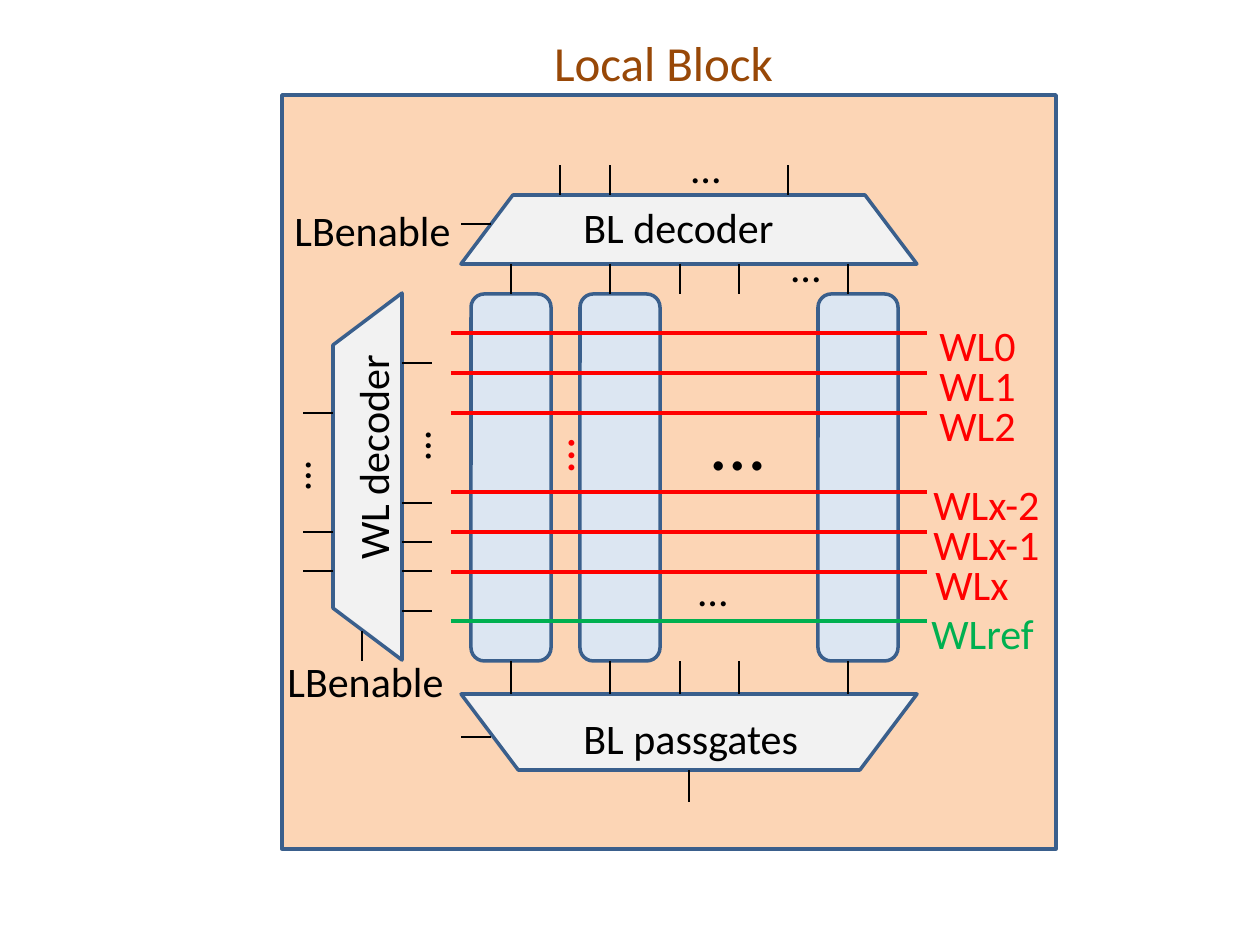
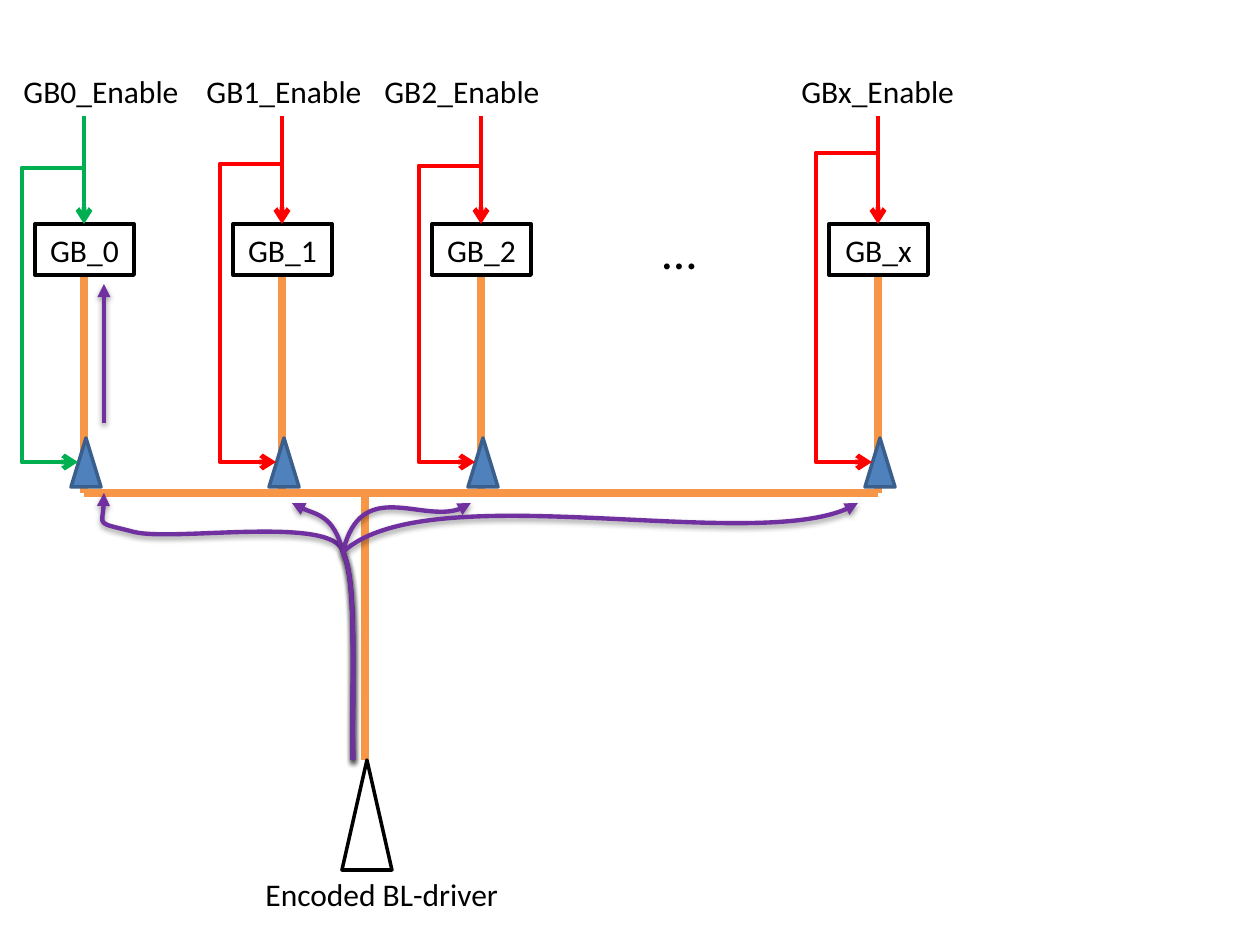
from lxml import etree
from pptx import Presentation
from pptx.dml.color import RGBColor
from pptx.enum.shapes import MSO_CONNECTOR as Connector, MSO_SHAPE as Shape
from pptx.enum.text import MSO_ANCHOR, PP_ALIGN
from pptx.oxml import parse_xml
from pptx.oxml.ns import nsdecls, qn
from pptx.util import Emu, Pt

SCALE = 914400 / 126
FONT = "Calibri"
BLACK = RGBColor(0x00, 0x00, 0x00)
RED = RGBColor(0xFF, 0x00, 0x00)
GREEN = RGBColor(0x00, 0xB0, 0x50)
BROWN = RGBColor(0x98, 0x48, 0x07)
PEACH = RGBColor(0xFC, 0xD5, 0xB5)
GREY = RGBColor(0xF2, 0xF2, 0xF2)
PALE_BLUE = RGBColor(0xDC, 0xE6, 0xF2)
BLUE = RGBColor(0x4F, 0x81, 0xBD)
OUTLINE = RGBColor(0x3A, 0x5F, 0x8C)
ORANGE = RGBColor(0xF7, 0x96, 0x46)
PURPLE = RGBColor(0x70, 0x30, 0xA0)
SHADOW = (
    f'<a:effectLst {nsdecls("a")}><a:outerShdw blurRad="40000" dist="20000" '
    'dir="5400000" rotWithShape="0"><a:srgbClr val="000000">'
    '<a:alpha val="38000"/></a:srgbClr></a:outerShdw></a:effectLst>'
)
NO_SHADOW = f'<a:effectLst {nsdecls("a")}/>'


def add_shape(slide, kind, box, fill, outline=OUTLINE, weight=2, rotation=0):
    shape = slide.shapes.add_shape(kind, *[Emu(round(v * SCALE)) for v in box])
    shape.shadow.inherit = False
    shape.rotation = rotation
    if fill is None:
        shape.fill.background()
    else:
        shape.fill.solid()
        shape.fill.fore_color.rgb = fill
    shape.line.color.rgb = outline
    shape.line.width = Pt(weight)
    return shape


def add_line(slide, points, color=BLACK, weight=0.75, tail=None,
             kind=Connector.STRAIGHT, effect=NO_SHADOW):
    line = slide.shapes.add_connector(kind, *[Emu(round(v * SCALE)) for v in points])
    line.line.color.rgb = color
    line.line.width = Pt(weight)
    if tail:
        etree.SubElement(line.line._get_or_add_ln(), qn("a:tailEnd"), type=tail)
    line._element.spPr.append(parse_xml(effect))
    return line


presentation = Presentation()
presentation.slide_width = Emu(round(1260 * SCALE))
presentation.slide_height = Emu(round(945 * SCALE))
block_slide = presentation.slides.add_slide(presentation.slide_layouts[5])
driver_slide = presentation.slides.add_slide(presentation.slide_layouts[6])

title = block_slide.shapes.title
title.left, title.top, title.width, title.height = [
    Emu(round(v * SCALE)) for v in (540, 26, 247, 72)]
title.text_frame.word_wrap = False
title.text_frame.vertical_anchor = MSO_ANCHOR.MIDDLE
run = title.text_frame.paragraphs[0].add_run()
run.text = "Local Block"
run.font.name = FONT
run.font.size = Pt(28)
run.font.color.rgb = BROWN

add_shape(block_slide, Shape.RECTANGLE, (282, 95, 774, 754), PEACH)
for column_left in (471, 580, 818):
    add_shape(block_slide, Shape.ROUNDED_RECTANGLE, (column_left, 294, 80, 367), PALE_BLUE)
for box, rotation in (
    ((461, 195, 456, 69), 0),
    ((184, 442, 367, 69), 270),
    ((461, 694, 456, 76), 180),
):
    decoder = add_shape(block_slide, Shape.TRAPEZOID, box, GREY, rotation=rotation)
    decoder.adjustments[0] = 0.752

for x in (511, 610, 680, 739, 848):
    add_line(block_slide, (x, 264, x, 294))
    add_line(block_slide, (x, 694, x, 661))
for x in (560, 610, 788):
    add_line(block_slide, (x, 195, x, 165))
for y in (224, 737):
    add_line(block_slide, (491, y, 461, y))
for y in (413, 532, 571):
    add_line(block_slide, (333, y, 303, y))
for y in (363, 503, 542, 571, 611):
    add_line(block_slide, (432, y, 402, y))
add_line(block_slide, (362, 631, 362, 661))
add_line(block_slide, (689, 770, 689, 802))

texts = [
    (block_slide, "BL decoder", (571, 195, 457, 63), 24, BLACK, 0, True),
    (block_slide, "WL decoder", (194, 362, 357, 63), 24, BLACK, 270, True),
    (block_slide, "BL passgates", (571, 706, 318, 63), 24, BLACK, 0, True),
    (block_slide, "LBenable", (275, 649, 210, 63), 24, BLACK, 0, True),
    (block_slide, "LBenable", (282, 198, 210, 63), 24, BLACK, 0, True),
    (block_slide, "…", (515, 409, 80, 72), 28, RED, 270, True),
    (block_slide, "…", (699, 387, 80, 106), 44, BLACK, 0, True),
    (driver_slide, "…", (650, 214, 59, 72), 28, BLACK, 0, False),
    (driver_slide, "Encoded BL-driver", (253, 869, 261, 50), 18, BLACK, 0, False),
]
for left, top, rotation in (
    (779, 234, 0), (679, 135, 0), (686, 558, 0), (374, 401, 270), (254, 431, 270),
):
    texts.append((block_slide, "…", (left, top, 80, 63), 24, BLACK, rotation, True))

for name, y, label_left, color in (
    ("WL0", 333, 927, RED),
    ("WL1", 373, 927, RED),
    ("WL2", 413, 927, RED),
    ("WLx-2", 492, 921, RED),
    ("WLx-1", 532, 921, RED),
    ("WLx", 572, 923, RED),
    ("WLref", 621, 919, GREEN),
):
    add_line(block_slide, (451, y, 927, y), color, 2)
    texts.append((block_slide, name, (label_left, y - 20, 139, 63), 24, color, 0, True))

add_line(driver_slide, (84, 493, 878, 493), ORANGE, 5)
add_line(driver_slide, (365, 493, 365, 760), ORANGE, 5)
add_shape(driver_slide, Shape.ISOSCELES_TRIANGLE, (342, 760, 50, 110), None, BLACK)

for suffix, x, label_left, branch_y, color in (
    ("0", 84, 11, 168, GREEN),
    ("1", 282, 194, 164, RED),
    ("2", 481, 372, 166, RED),
    ("x", 878, 789, 153, RED),
):
    add_line(driver_slide, (x, 276, x, 493), ORANGE, 5)
    block = add_shape(driver_slide, Shape.RECTANGLE, (x - 49, 224, 99, 51), None, BLACK, 2.25)
    paragraph = block.text_frame.paragraphs[0]
    paragraph.alignment = PP_ALIGN.CENTER
    run = paragraph.add_run()
    run.text = f"GB_{suffix}"
    run.font.name = FONT
    run.font.size = Pt(18)
    run.font.color.rgb = BLACK
    add_shape(driver_slide, Shape.ISOSCELES_TRIANGLE, (x - 13, 438, 30, 49), BLUE)
    add_line(driver_slide, (x, 116, x, 224), color, 2.75, "arrow")
    elbow = add_line(driver_slide, (x, branch_y, x - 6, 462), color, 2.75, "arrow",
                     Connector.ELBOW)
    adjust_list = elbow._element.spPr.find(qn("a:prstGeom")).get_or_add_avLst()
    etree.SubElement(adjust_list, qn("a:gd"), name="adj1",
                     fmla=f"val {round(62 / 6 * 100000)}")
    texts.append((driver_slide, f"GB{suffix}_Enable", (label_left, 66, 183, 50),
                  18, BLACK, 0, False))

add_line(driver_slide, (104, 423, 104, 284), PURPLE, 2.5, "triangle", effect=SHADOW)
stem = [(352, 667), (357, 580), (343, 552)]
for branch in (
    [(334, 515), (174, 542), (134, 532), (95, 522), (104, 528), (104, 493)],
    [(334, 515), (301, 510), (292, 503)],
    [(361, 476), (433, 532), (471, 503)],
    [(428, 474), (772, 559), (858, 503)],
):
    builder = driver_slide.shapes.build_freeform(353, 760, scale=SCALE)
    builder.add_line_segments(stem + branch, close=False)
    signal = builder.convert_to_shape()
    signal.fill.background()
    signal.line.color.rgb = PURPLE
    signal.line.width = Pt(2.5)
    etree.SubElement(signal.line._get_or_add_ln(), qn("a:tailEnd"), type="triangle")
    signal._element.spPr.append(parse_xml(SHADOW))
    segments = list(signal._element.iter(qn("a:lnTo")))
    outline_path = segments[0].getparent()
    for start in range(0, len(segments), 3):
        curve = etree.SubElement(outline_path, qn("a:cubicBezTo"))
        for segment in segments[start:start + 3]:
            curve.append(segment[0])
            outline_path.remove(segment)

for slide, text, box, size, color, rotation, wrap in texts:
    text_box = slide.shapes.add_textbox(*[Emu(round(v * SCALE)) for v in box])
    text_box.rotation = rotation
    text_box.text_frame.word_wrap = wrap
    run = text_box.text_frame.paragraphs[0].add_run()
    run.text = text
    run.font.name = FONT
    run.font.size = Pt(size)
    run.font.color.rgb = color

presentation.save("out.pptx")
